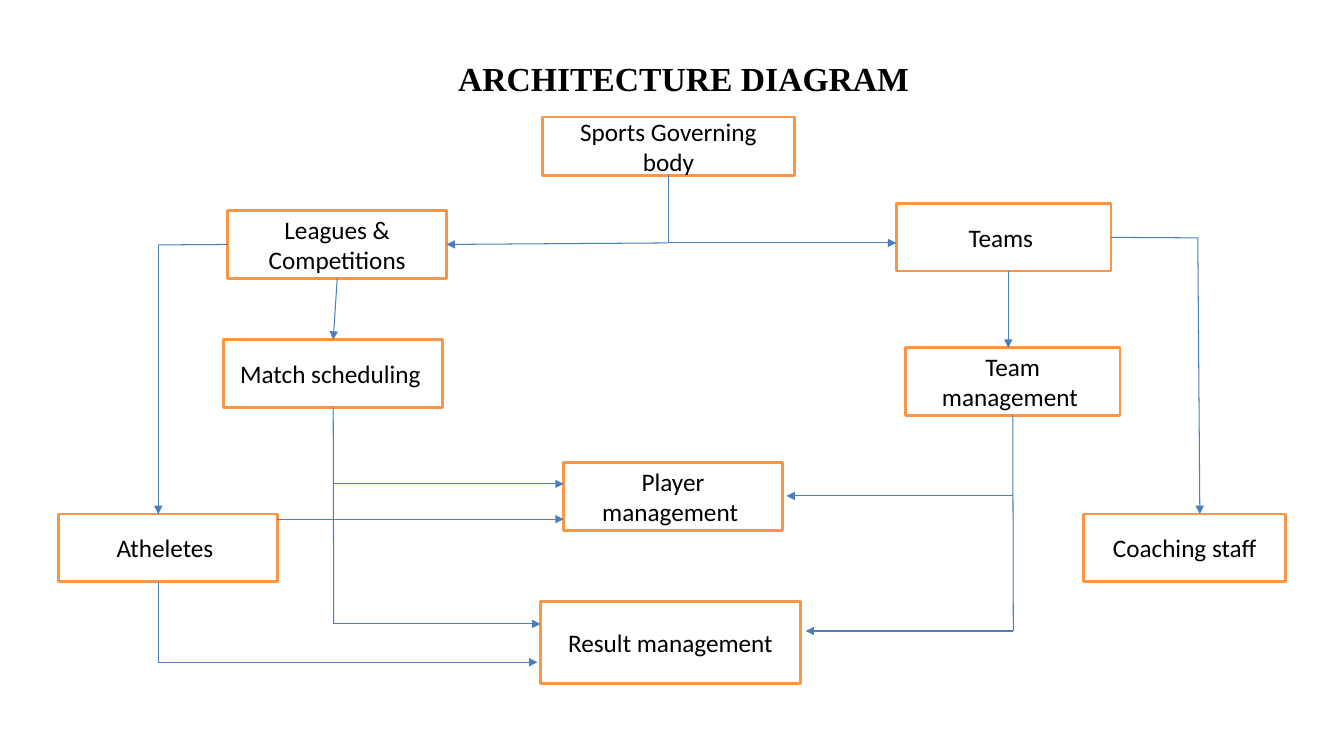
from itertools import pairwise

from lxml import etree
from pptx import Presentation
from pptx.dml.color import RGBColor
from pptx.enum.shapes import MSO_CONNECTOR, MSO_SHAPE
from pptx.enum.text import MSO_ANCHOR, PP_ALIGN
from pptx.oxml.ns import qn
from pptx.util import Inches, Pt

RECTANGLE = MSO_SHAPE.RECTANGLE
STRAIGHT = MSO_CONNECTOR.STRAIGHT
CENTER = PP_ALIGN.CENTER
MIDDLE = MSO_ANCHOR.MIDDLE
TOP, LEFT, BOTTOM, RIGHT = range(4)

BLACK = RGBColor(0x00, 0x00, 0x00)
WHITE = RGBColor(0xFF, 0xFF, 0xFF)
ORANGE = RGBColor(0xF7, 0x96, 0x46)
BLUE = RGBColor(0x4A, 0x7E, 0xBC)

# Key: label, left, top, width, height within the diagram
UNITS = {
    "governing": ("Sports Governing body", 4.88, 0.16, 2.5, 0.58),
    "leagues": ("Leagues & Competitions", 1.76, 1.09, 2.17, 0.67),
    "teams": ("Teams ", 8.39, 1.02, 2.13, 0.67),
    "scheduling": ("Match scheduling ", 1.72, 2.37, 2.17, 0.67),
    "team management": ("Team management ", 8.48, 2.45, 2.13, 0.67),
    "players": ("Player management ", 5.09, 3.59, 2.17, 0.67),
    "athletes": ("Atheletes ", 0.08, 4.1, 2.17, 0.67),
    "coaching": ("Coaching staff", 10.25, 4.1, 2, 0.67),
    "results": ("Result management", 4.86, 4.97, 2.58, 0.81),
}

# Each stop is a point in the diagram or the middle of a unit's side
ROUTES = [
    [("governing", BOTTOM), (6.13, 1.41), ("leagues", RIGHT)],
    [(6.13, 1.41), (8.39, 1.41)],
    [("leagues", LEFT), (1.07, 1.43), (1.07, 4.1)],
    [("leagues", BOTTOM), ("scheduling", TOP)],
    [("teams", RIGHT), (11.38, 1.36), (11.4, 4.1)],
    [(9.5, 1.69), (9.5, 2.45)],
    [("scheduling", BOTTOM), (2.81, 5.19), (4.86, 5.19)],
    [(2.81, 3.8), (5.09, 3.8)],
    [("team management", BOTTOM), (9.55, 5.26), (7.49, 5.26)],
    [(9.55, 3.92), (7.3, 3.92)],
    [(1.07, 4.77), (1.07, 5.57), (4.83, 5.57)],
    [(2.25, 4.15), (5.09, 4.15)],
]


def write(paragraph, text, font_name, size, bold=False):
    paragraph.alignment = CENTER
    run = paragraph.add_run()
    run.text = text
    run.font.name = font_name
    run.font.size = Pt(size)
    run.font.bold = bold
    run.font.color.rgb = BLACK


def add_title(slide, left, top, width, height):
    frame = slide.shapes.add_textbox(left, top, width, height).text_frame
    frame.word_wrap = True
    frame.margin_left = frame.margin_right = frame.margin_bottom = 0
    frame.margin_top = Inches(0.01)
    write(frame.paragraphs[0], "ARCHITECTURE DIAGRAM", "Times New Roman", 24, True)


def add_unit(slide, label, left, top, width, height):
    unit = slide.shapes.add_shape(RECTANGLE, left, top, width, height)
    unit.shadow.inherit = False
    unit.fill.solid()
    unit.fill.fore_color.rgb = WHITE
    unit.line.color.rgb = ORANGE
    unit.line.width = Pt(2)
    unit.text_frame.word_wrap = True
    unit.text_frame.vertical_anchor = MIDDLE
    write(unit.text_frame.paragraphs[0], label, "Calibri", 18)
    return unit


def add_route(slide, stops, units, left, top):
    """Draw straight legs from stop to stop, with an arrowhead on the last."""
    legs = []
    for start, end in pairwise(stops):
        leg = slide.shapes.add_connector(STRAIGHT, 0, 0, 0, 0)
        if start[0] in units:
            leg.begin_connect(units[start[0]], start[1])
        else:
            leg.begin_x, leg.begin_y = left + Inches(start[0]), top + Inches(start[1])
        if end[0] in units:
            leg.end_connect(units[end[0]], end[1])
        else:
            leg.end_x, leg.end_y = left + Inches(end[0]), top + Inches(end[1])
        leg.line.color.rgb = BLUE
        leg.line.width = Pt(0.75)
        properties = leg.element.spPr
        etree.SubElement(properties, qn("a:effectLst"))
        legs.append(properties)
    etree.SubElement(legs[-1].find(qn("a:ln")), qn("a:tailEnd"), type="triangle")


def add_diagram(slide, left, top):
    units = {
        key: add_unit(slide, label, left + Inches(x), top + Inches(y),
                      Inches(width), Inches(height))
        for key, (label, x, y, width, height) in UNITS.items()
    }
    for stops in ROUTES:
        add_route(slide, stops, units, left, top)


def main():
    presentation = Presentation()
    presentation.slide_width = Inches(13.33)
    presentation.slide_height = Inches(7.5)
    slide = presentation.slides.add_slide(presentation.slide_layouts[6])
    add_title(slide, Inches(3.78), Inches(0.56), Inches(6), Inches(0.42))
    add_diagram(slide, Inches(0.5), Inches(1))
    presentation.save("out.pptx")


if __name__ == "__main__":
    main()
